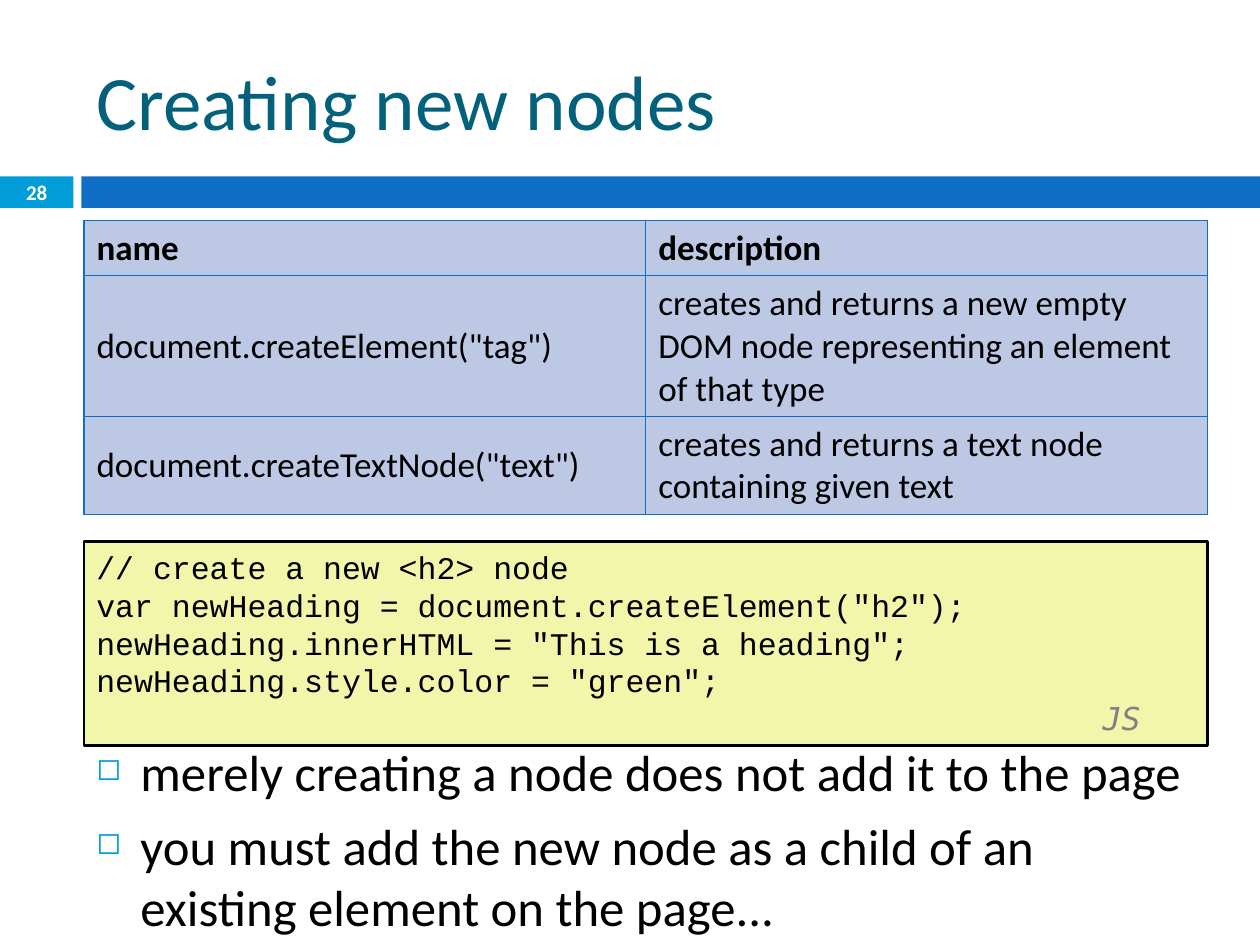
from dataclasses import dataclass

from lxml.etree import SubElement
from pptx import Presentation
from pptx.dml.color import RGBColor
from pptx.enum.shapes import MSO_SHAPE as Shape
from pptx.enum.text import MSO_ANCHOR as Anchor, PP_ALIGN as Align
from pptx.oxml import parse_xml
from pptx.oxml.ns import nsdecls, qn
from pptx.util import Pt


@dataclass(frozen=True)
class Theme:
    sans: str = "Calibri"
    code: str = "Courier New"
    label: str = "DejaVu Sans Mono"
    black: str = "000000"
    white: str = "FFFFFF"
    gray: str = "808080"
    teal: str = "04617B"
    blue: str = "0F6FC6"
    cyan: str = "009DD9"
    cell: str = "BDC8E4"
    yellow: str = "F1F6AA"
    title_size: float = 44
    body_size: float = 29
    table_size: float = 20
    code_size: float = 18
    number_size: float = 12


class SlideBuilder:
    def __init__(self, slide, theme):
        self.slide = slide
        self.theme = theme

    def set_font(self, paragraph, name, size, color, bold=False, italic=False):
        font = paragraph.font
        font.name, font.size = name, Pt(size)
        font.bold, font.italic = bold, italic
        font.color.rgb = RGBColor.from_string(color)

    def place(self, shape, box):
        shape.left, shape.top, shape.width, shape.height = map(Pt, box)

    def title(self, text, box):
        shape = self.slide.shapes.title
        self.place(shape, box)
        frame = shape.text_frame
        frame.text = text
        frame.vertical_anchor = Anchor.MIDDLE
        paragraph = frame.paragraphs[0]
        paragraph.alignment = Align.LEFT
        self.set_font(paragraph, self.theme.sans, self.theme.title_size, self.theme.teal)

    def rectangle(self, box, fill, line=None):
        shape = self.slide.shapes.add_shape(Shape.RECTANGLE, *map(Pt, box))
        shape.shadow.inherit = False
        shape.fill.solid()
        shape.fill.fore_color.rgb = RGBColor.from_string(fill)
        if line:
            shape.line.color.rgb = RGBColor.from_string(line)
            shape.line.width = Pt(1.5)
        else:
            shape.line.fill.background()
        return shape

    def page_number(self, text, box):
        frame = self.rectangle(box, self.theme.cyan).text_frame
        frame.margin_left = frame.margin_right = frame.margin_top = frame.margin_bottom = 0
        frame.vertical_anchor = Anchor.MIDDLE
        frame.text = text
        paragraph = frame.paragraphs[0]
        paragraph.alignment = Align.CENTER
        self.set_font(paragraph, self.theme.sans, self.theme.number_size, self.theme.white, bold=True)

    def code(self, lines, language, box, label_indent):
        theme = self.theme
        frame = self.rectangle(box, theme.yellow, theme.black).text_frame
        frame.vertical_anchor = Anchor.TOP
        frame.text = "\n".join([*lines, language])
        *code_paragraphs, label = frame.paragraphs
        for paragraph in code_paragraphs:
            self.set_font(paragraph, theme.code, theme.code_size, theme.black)
        self.set_font(label, theme.label, theme.code_size, theme.gray, italic=True)
        for paragraph in frame.paragraphs:
            paragraph.alignment = Align.LEFT
        label._p.get_or_add_pPr().set("marL", str(Pt(label_indent)))

    def bullets(self, lines, box, indent):
        frame = self.slide.shapes.add_textbox(*map(Pt, box)).text_frame
        frame.word_wrap = True
        frame.text = "\n".join(lines)
        for paragraph in frame.paragraphs:
            paragraph.space_before = Pt(7)
            properties = paragraph._p.get_or_add_pPr()
            properties.set("marL", str(Pt(indent)))
            properties.set("indent", str(-Pt(indent)))
            color = SubElement(properties, qn("a:buClr"))
            SubElement(color, qn("a:srgbClr"), val=self.theme.cyan)
            SubElement(properties, qn("a:buSzPct"), val="60000")
            SubElement(properties, qn("a:buChar"), char="◻")
            self.set_font(paragraph, self.theme.sans, self.theme.body_size, self.theme.black)

    def border(self, cell):
        properties = cell._tc.get_or_add_tcPr()
        for position, side in enumerate("LRTB"):
            properties.insert(position, parse_xml(
                f'<a:ln{side} {nsdecls("a")} w="{Pt(0.79)}"><a:solidFill>'
                f'<a:srgbClr val="{self.theme.blue}"/></a:solidFill></a:ln{side}>'))

    def table(self, rows, box, heights):
        theme = self.theme
        table = self.slide.shapes.add_table(len(rows), len(rows[0]), *map(Pt, box)).table
        table.horz_banding = False
        for row_index, (texts, height) in enumerate(zip(rows, heights)):
            table.rows[row_index].height = Pt(height)
            for cell, text in zip(table.rows[row_index].cells, texts):
                cell.text = text
                cell.vertical_anchor = Anchor.MIDDLE
                cell.fill.solid()
                cell.fill.fore_color.rgb = RGBColor.from_string(theme.cell)
                self.border(cell)
                self.set_font(cell.text_frame.paragraphs[0], theme.sans,
                              theme.table_size, theme.black, bold=row_index == 0)


def main():
    presentation = Presentation()
    presentation.slide_width, presentation.slide_height = Pt(720), Pt(540)
    theme = Theme()
    builder = SlideBuilder(presentation.slides.add_slide(presentation.slide_layouts[5]), theme)
    left, width = 48, 642

    builder.title("Creating new nodes", (left, 18, width, 78))
    builder.page_number("28", (0, 100.8, 42, 18))
    builder.rectangle((46.5, 100.8, 673.5, 18), theme.blue)
    builder.code(
        [
            "// create a new <h2> node",
            'var newHeading = document.createElement("h2");',
            'newHeading.innerHTML = "This is a heading";',
            'newHeading.style.color = "green";',
        ],
        "JS", (left, 309.6, width, 116.4), label_indent=575)
    builder.bullets(
        [
            "merely creating a node does not add it to the page",
            "you must add the new node as a child of an existing element on the page...",
        ],
        (left, 420, width, 96), indent=25.2)
    builder.table(
        [
            ("name", "description"),
            ('document.createElement("tag")',
             "creates and returns a new empty DOM node representing an element of that type"),
            ('document.createTextNode("text")',
             "creates and returns a text node containing given text"),
        ],
        (left, 126, width, 168), heights=(31.5, 80.5, 56))
    presentation.save("out.pptx")


if __name__ == "__main__":
    main()
